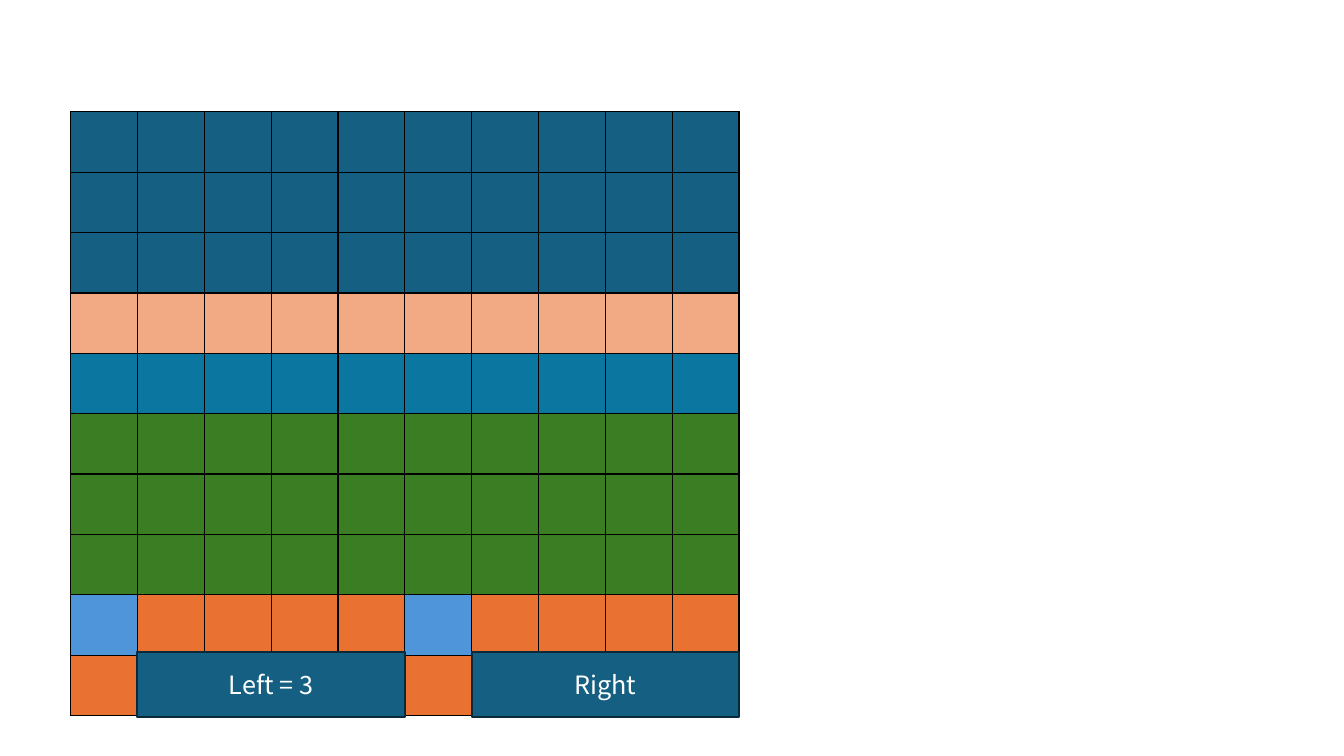
from lxml import etree
from pptx import Presentation
from pptx.dml.color import RGBColor
from pptx.enum.shapes import MSO_SHAPE
from pptx.enum.text import MSO_ANCHOR, PP_ALIGN
from pptx.oxml.ns import qn
from pptx.util import Inches, Pt

RECT = MSO_SHAPE.RECTANGLE
MIDDLE = MSO_ANCHOR.MIDDLE
CENTER = PP_ALIGN.CENTER

COLORS = {
    "teal": "156082",
    "peach": "F2AA84",
    "blue": "0B76A0",
    "green": "3B7D23",
    "sky": "4E95D9",
    "orange": "E97132",
    "navy": "0E2841",
    "edge": "092A39",
    "black": "000000",
    "white": "FFFFFF",
}

SIDE = 10
HALF = SIDE // 2
ROWS = (
    [["teal"] * SIDE] * 3
    + [["peach"] * SIDE, ["blue"] * SIDE]
    + [["green"] * SIDE] * 3
    + [(["sky"] + ["orange"] * 4) * 2, (["orange"] + ["navy"] * 4) * 2]
)


def color(name):
    return RGBColor.from_string(COLORS[name])


def write(frame, text, font, size=18, tint="white", align=CENTER):
    frame.word_wrap = True
    frame.vertical_anchor = MIDDLE
    para = frame.paragraphs[0]
    para.alignment = align
    run = para.add_run()
    run.text = text
    run.font.name = font
    run.font.size = Pt(size)
    run.font.color.rgb = color(tint)


class Board:
    def __init__(self, slide, font):
        self.slide = slide
        self.font = font

    def border(self, cell, tint="black", width=1):
        props = cell._tc.get_or_add_tcPr()
        for tag in ("a:lnL", "a:lnR", "a:lnT", "a:lnB"):
            line = etree.SubElement(props, qn(tag), w=str(Pt(width)))
            fill = etree.SubElement(line, qn("a:solidFill"))
            etree.SubElement(fill, qn("a:srgbClr"), val=COLORS[tint])

    def grid(self, left, top, width, height, rows):
        frame = self.slide.shapes.add_table(
            len(rows), len(rows[0]), left, top, width, height
        )
        table = frame.table
        table.first_row = False
        table.horz_banding = False
        for r, row in enumerate(rows):
            for c, tint in enumerate(row):
                cell = table.cell(r, c)
                self.border(cell)
                cell.fill.solid()
                cell.fill.fore_color.rgb = color(tint)

    def key(self, text, left, top, width, height):
        box = self.slide.shapes.add_shape(RECT, left, top, width, height)
        box.shadow.inherit = False
        box.fill.solid()
        box.fill.fore_color.rgb = color("teal")
        box.line.color.rgb = color("edge")
        box.line.width = Pt(1.5)
        write(box.text_frame, text, self.font)


def main():
    deck = Presentation()
    deck.slide_width = Inches(13.33)
    deck.slide_height = Inches(7.5)
    slide = deck.slides.add_slide(deck.slide_layouts[6])
    board = Board(slide, "Noto Sans CJK KR")

    left, top = Inches(0.7), Inches(1.11)
    width, height = Inches(6.63), Inches(5.99)
    board.grid(left, top, width, height, ROWS)

    step = width // SIDE
    for i, text in enumerate(("Left = 3", "Right")):
        start = left + step * (1 + HALF * i)
        board.key(text, start, Inches(6.47), step * 4, Inches(0.64))

    deck.save("out.pptx")


if __name__ == "__main__":
    main()
